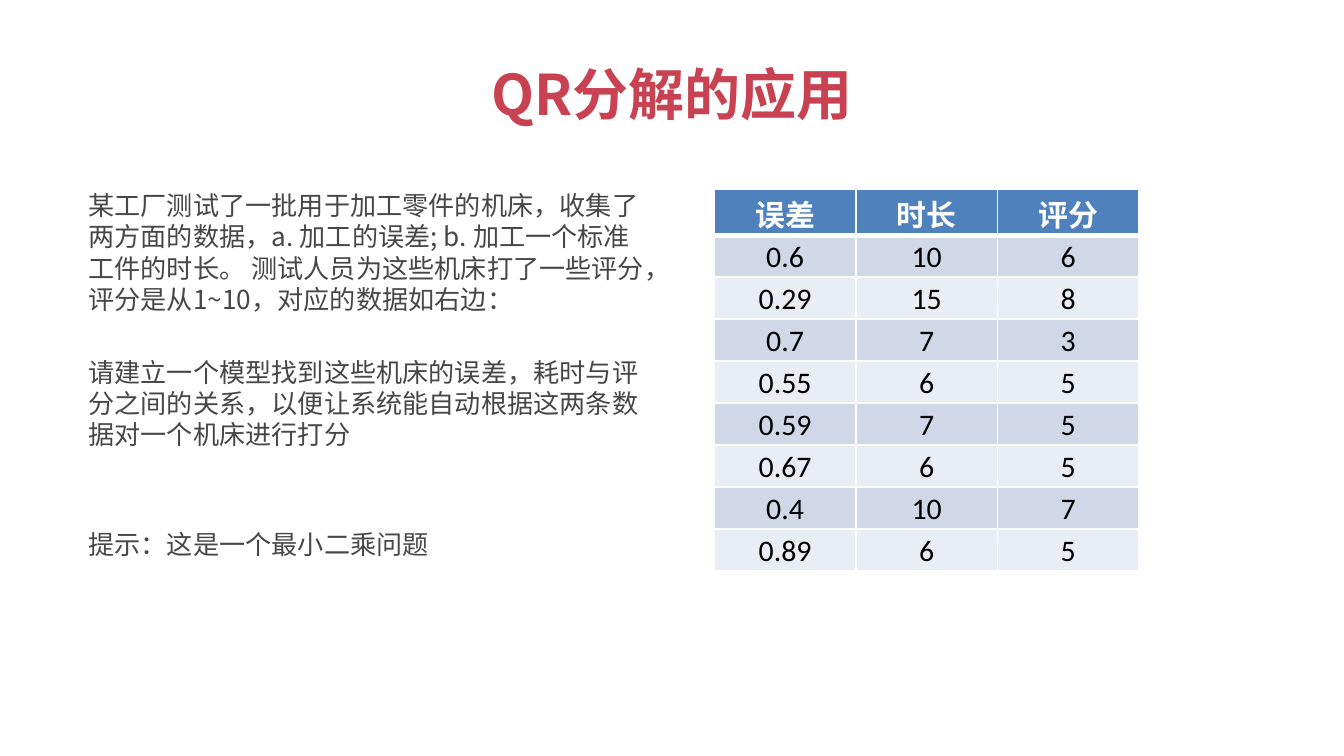
from lxml import etree
from pptx import Presentation
from pptx.dml.color import RGBColor
from pptx.enum.text import MSO_ANCHOR, PP_ALIGN
from pptx.oxml.ns import qn
from pptx.util import Pt

EMU_PER_PX = 4572  # 200 px to the inch
CENTER = PP_ALIGN.CENTER
MIDDLE = MSO_ANCHOR.MIDDLE
CJK_FONT = "Noto Sans CJK SC"
TABLE_FONT = "Calibri"
HEADER_HEIGHT = 68

TASK_PARAGRAPHS = [  # space before in points, text
    (0, "某工厂测试了一批用于加工零件的机床，收集了两方面的数据，a. 加工的误差; b. 加工一个标准工件的时长。 "
        "测试人员为这些机床打了一些评分，评分是从1~10，对应的数据如右边："),
    (22, "请建立一个模型找到这些机床的误差，耗时与评分之间的关系，以便让系统能自动根据这两条数据对一个机床进行打分"),
    (42, "提示：这是一个最小二乘问题"),
]
MACHINE_ROWS = [
    ("误差", "时长", "评分"),
    ("0.6", "10", "6"),
    ("0.29", "15", "8"),
    ("0.7", "7", "3"),
    ("0.55", "6", "5"),
    ("0.59", "7", "5"),
    ("0.67", "6", "5"),
    ("0.4", "10", "7"),
    ("0.89", "6", "5"),
]


def px(length):
    return length * EMU_PER_PX


def color(hex_string):
    return RGBColor.from_string(hex_string)


def add_run(paragraph, text, size, font_name, hex_string, bold=False):
    run = paragraph.add_run()
    run.text = text
    run.font.size = Pt(size)
    run.font.bold = bold
    run.font.color.rgb = color(hex_string)
    run.font.name = font_name
    east_asian = etree.SubElement(run.font._element, qn("a:ea"))
    east_asian.set("typeface", CJK_FONT)


def add_text_frame(slide, left, top, width, height):
    text_box = slide.shapes.add_textbox(px(left), px(top), px(width), px(height))
    text_box.text_frame.word_wrap = True
    return text_box.text_frame


def add_title(slide, left, top, width, height):
    text_frame = add_text_frame(slide, left, top, width, height)
    text_frame.vertical_anchor = MIDDLE
    paragraph = text_frame.paragraphs[0]
    paragraph.alignment = CENTER
    paragraph.space_after = Pt(6)
    add_run(paragraph, "QR分解的应用", 30, CJK_FONT, "C94251", bold=True)


def add_task(slide, left, top, width, height):
    text_frame = add_text_frame(slide, left, top, width, height)
    text_frame.margin_right = px(32)
    for index, (space_before, text) in enumerate(TASK_PARAGRAPHS):
        paragraph = text_frame.add_paragraph() if index else text_frame.paragraphs[0]
        paragraph.line_spacing = Pt(16.8)
        paragraph.space_before = Pt(space_before)
        add_run(paragraph, text, 14, CJK_FONT, "474747")


def add_cell_borders(cell, bottom_width):
    """Draw white lines; call before the fill, which must follow them in the XML."""
    properties = cell._tc.get_or_add_tcPr()
    for side, width in (("L", 1), ("R", 1), ("T", 1), ("B", bottom_width)):
        line = etree.SubElement(properties, qn(f"a:ln{side}"), w=str(Pt(width)))
        fill = etree.SubElement(line, qn("a:solidFill"))
        etree.SubElement(fill, qn("a:srgbClr"), val="FFFFFF")


def fill_cell(cell, text, row_index):
    is_header = row_index == 0
    add_cell_borders(cell, 3 if is_header else 1)
    band = "D0D8E8" if row_index % 2 else "E9EDF4"
    cell.fill.solid()
    cell.fill.fore_color.rgb = color("4F81BD" if is_header else band)
    cell.margin_left = cell.margin_right = cell.margin_top = px(4)
    cell.margin_bottom = 0
    cell.vertical_anchor = MIDDLE
    paragraph = cell.text_frame.paragraphs[0]
    paragraph.alignment = CENTER
    text_color = "FFFFFF" if is_header else "000000"
    add_run(paragraph, text, 16, TABLE_FONT, text_color, bold=is_header)


def add_machine_table(slide, left, top, width, height):
    row_count, column_count = len(MACHINE_ROWS), len(MACHINE_ROWS[0])
    table = slide.shapes.add_table(
        row_count, column_count, px(left), px(top), px(width), px(height)
    ).table
    table.rows[0].height = px(HEADER_HEIGHT)
    for row_index, values in enumerate(MACHINE_ROWS):
        for column_index, text in enumerate(values):
            fill_cell(table.cell(row_index, column_index), text, row_index)


def main():
    presentation = Presentation()
    presentation.slide_width = px(2000)
    presentation.slide_height = px(1125)
    slide = presentation.slides.add_slide(presentation.slide_layouts[6])
    add_title(slide, 100, 45, 1800, 188)
    add_task(slide, 112, 272, 884, 684)
    add_machine_table(slide, 1063, 282, 632, 562)
    presentation.save("out.pptx")


if __name__ == "__main__":
    main()
